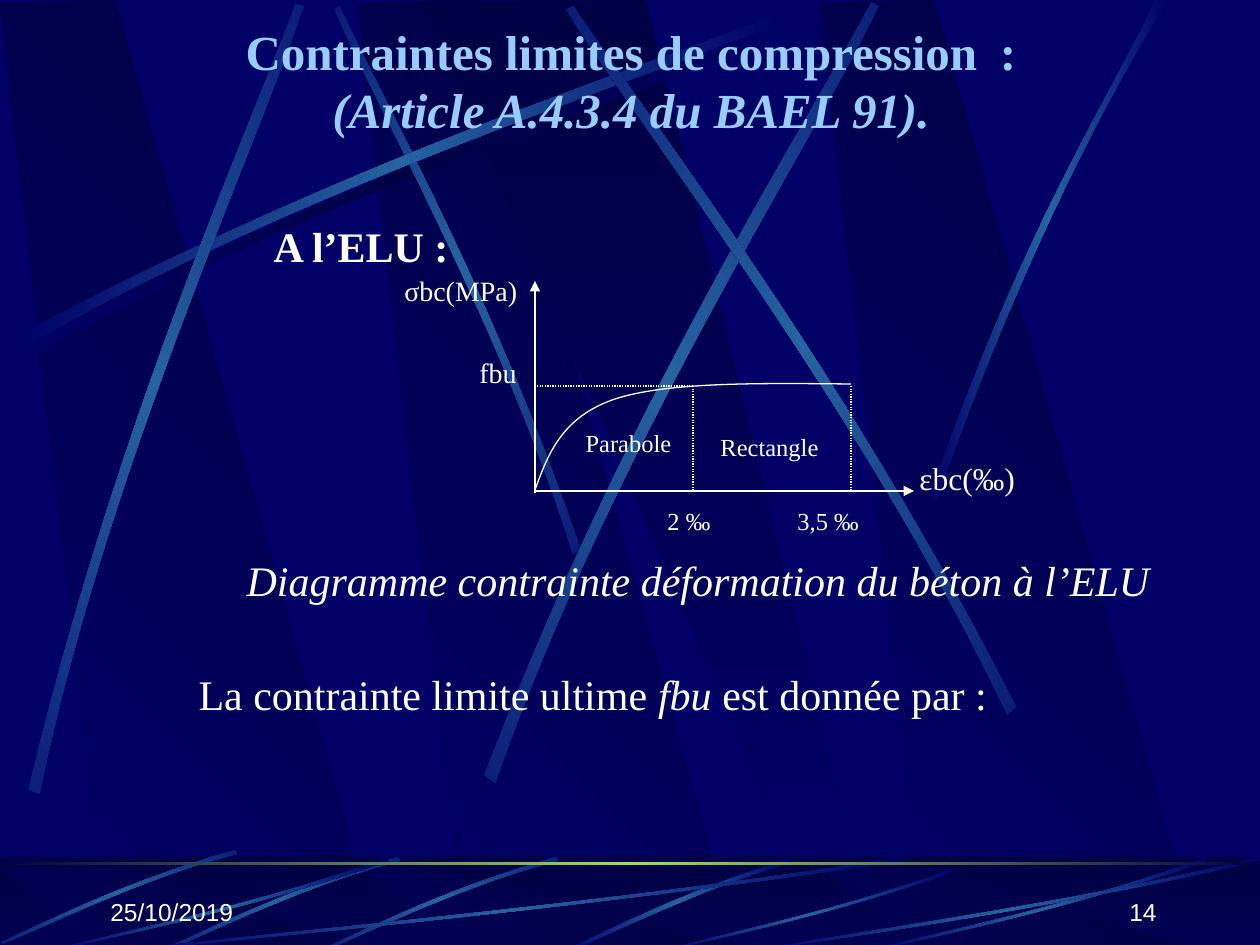
from copy import deepcopy
from math import cos, radians, sin

from pptx import Presentation
from pptx.dml.color import RGBColor
from pptx.enum.dml import MSO_LINE
from pptx.enum.shapes import MSO_CONNECTOR, MSO_SHAPE
from pptx.enum.text import MSO_ANCHOR, PP_ALIGN
from pptx.oxml.ns import qn
from pptx.util import Pt
from lxml import etree

PX = 914400 / 126
NAVY = RGBColor(0x00, 0x00, 0x66)
DARK = RGBColor(0x00, 0x00, 0x44)
STEEL = RGBColor(0x26, 0x63, 0xA0)
LIME = RGBColor(0x9C, 0xE1, 0x57)
SKY = RGBColor(0x99, 0xCC, 0xFF)
WHITE = RGBColor(0xFF, 0xFF, 0xFF)
SERIF, SANS = "Times New Roman", "Arial"
LEFT, CENTER, RIGHT = PP_ALIGN.LEFT, PP_ALIGN.CENTER, PP_ALIGN.RIGHT

# Content: (box, size, alignment, indent, runs of (text, italic))
TEXTS = [
    ((134, 662, 912, 227), 24, LEFT, 52,
     [("La contrainte limite ultime ", False), ("fbu ", True), ("est donnée par\u00a0:", False)]),
    ((907, 453, 173, 107), 18, LEFT, 0, [("εbc(‰)", False)]),
    ((655, 500, 108, 42), 14, LEFT, 0, [("2 ‰", False)]),
    ((785, 500, 149, 42), 14, LEFT, 0, [("3,5 ‰", False)]),
    ((392, 267, 199, 47), 16, LEFT, 0, [("σbc(MPa)", False)]),
    ((467, 349, 108, 47), 16, LEFT, 0, [("fbu", False)]),
    ((544, 422, 169, 42), 14, CENTER, 0, [("Parabole", False)]),
    ((685, 426, 169, 43), 14, CENTER, 0, [("Rectangle", False)]),
    ((213, 548, 1002, 63), 24, LEFT, 21,
     [("Diagramme contrainte déformation du béton à l’ELU", True)]),
]
FOOTERS = [((98, 870, 262, 63), LEFT, "25/10/2019"), ((907, 870, 262, 63), RIGHT, "14")]
TITLE = [[("Contraintes limites de compression", 28, False), (" ", 24, False), (" :", 28, False)],
         [("(Article A.4.3.4 du BAEL 91).", 28, True)]]

# Diagram: (start, end, dotted, arrow)
DIAGRAM_LINES = [
    ((535, 491), (914, 491), False, True),
    ((693, 386), (535, 386), True, False),
    ((693, 386), (693, 491), True, False),
    ((851, 386), (851, 491), True, False),
    ((535, 493), (535, 281), False, True),
]
CURVE = [(535, 490), (548, 454), (562, 417), (615, 399), (667, 382), (759, 383), (851, 384)]

# Backdrop: broad bands, and rays made of an outward and a return Bézier curve
BAND = [(108, 945), (381, 948), (115, 0), (0, 3)]
BAND_LEFTS = [357, 0, 819]
WEDGE = [(420, 1), (829, 946), (874, 946), (646, 0)]
LONG_RAY = [(25, 346), (358, 169), (660, 74), (789, 23),
            (793, 30), (665, 87), (320, 190), (29, 359)]
TALL_RAYS = [
    (311.7, [(29, 788), (117, 421), (248, 132), (296, 3),
             (304, 5), (261, 137), (108, 464), (40, 793)]),
    (321.6, [(485, 774), (627, 403), (804, 129), (872, 1),
             (879, 5), (818, 136), (612, 447), (496, 782)]),
    (34.7, [(1016, 706), (844, 369), (650, 120), (573, 5),
            (566, 9), (639, 127), (863, 410), (1007, 714)]),
    (0, [(930, 496), (1026, 218), (1119, 83), (1155, 0),
         (1168, 0), (1053, 183), (969, 406), (937, 500)]),
]
CROSS_RAY = [(580, 549), (493, 295), (381, 97), (339, 6),
             (334, 9), (372, 100), (501, 325), (572, 553)]
FLOOR_RAY = [(790, 859), (677, 893), (601, 935), (564, 950),
             (571, 951), (617, 930), (719, 882), (791, 863)]
SHORT_RAY = [(557, 857), (447, 888), (362, 932), (323, 949),
             (324, 951), (363, 936), (460, 886), (559, 861)]
SHORT_SHIFTS = [(0, 0), (-158, 0), (-321, -7)]
SWEEP = [(777, 4), (440, 54), (134, 80), (4, 94), (0, 93), (129, 77), (479, 48), (774, 0)]
SWEEP_SIZE = (777, 94)
SWEEP_BOXES = [(126, 857, 777, 94), (53, 857, 336, 94), (664, 868, 291, 83),
               (872, 857, 336, 94), (756, 857, 504, 94)]

prs = Presentation()
prs.slide_width, prs.slide_height = round(1260 * PX), round(945 * PX)
slide = prs.slides.add_slide(prs.slide_layouts[6])
slide.background.fill.solid()
slide.background.fill.fore_color.rgb = NAVY
shapes = slide.shapes


def emu(values):
    return [round(v * PX) for v in values]


def shift(points, dx, dy):
    return [(x + dx, y + dy) for x, y in points]


def gradient(shape, colors, angle):
    """Evenly spaced colour stops; the angle is clockwise."""
    shape.shadow.inherit = False
    shape.line.fill.background()
    shape.fill.gradient()
    shape.fill.gradient_angle = (360 - angle) % 360
    if len(colors) == 3:
        last = shape.fill._fill._gradFill.gsLst[-1]
        last.addprevious(deepcopy(last))
    for i, (stop, color) in enumerate(zip(shape.fill.gradient_stops, colors)):
        stop.color.rgb = color
        stop.position = i / (len(colors) - 1)


def outline(points, close=True, curve_starts=()):
    """Polygon in which the three segments from each curve start form one Bézier."""
    points = [emu(p) for p in points]
    builder = shapes.build_freeform(*points[0], scale=1.0)
    builder.add_line_segments(points[1:], close=close)
    shape = builder.convert_to_shape()
    segments = list(shape._element.iter(qn("a:lnTo")))
    for start in curve_starts:
        controls = segments[start:start + 3]
        bezier = etree.Element(qn("a:cubicBezTo"))
        controls[0].addprevious(bezier)
        for control in controls:
            bezier.append(control[0])
            control.getparent().remove(control)
    return shape


def ray(points, rotation=0, core=STEEL):
    xs, ys = zip(*points)
    cx, cy = (min(xs) + max(xs)) / 2, (min(ys) + max(ys)) / 2
    c, s = cos(radians(rotation)), sin(radians(rotation))
    level = [(cx + (x - cx) * c + (y - cy) * s, cy - (x - cx) * s + (y - cy) * c)
             for x, y in points]
    shape = outline(level, curve_starts=(0, 4))
    shape.rotation = rotation
    gradient(shape, [NAVY, core, NAVY], 0)


def bands(top, height):
    def fit(points, left=0):
        return [(x + left, top + y * height / 948) for x, y in points]
    for left in BAND_LEFTS:
        gradient(outline(fit(BAND, left)), [NAVY, DARK], 315)
    gradient(outline(fit(WEDGE)), [DARK, NAVY], 90)


def rectangle(box):
    return shapes.add_shape(MSO_SHAPE.RECTANGLE, *emu(box))


def text_frame(box, anchor=MSO_ANCHOR.TOP, indent=0):
    frame = shapes.add_textbox(*emu(box)).text_frame
    frame.word_wrap = True
    frame.vertical_anchor = anchor
    frame.margin_left += round(indent * PX)
    return frame


def add_run(paragraph, text, size, color=WHITE, font=SERIF, bold=False, italic=False):
    run = paragraph.add_run()
    run.text = text
    run.font.name, run.font.size = font, Pt(size)
    run.font.bold, run.font.italic = bold, italic
    run.font.color.rgb = color


# Upper backdrop
bands(0, 948)
ray(LONG_RAY, core=DARK)
ray(CROSS_RAY, 45)
ray(shift(LONG_RAY, -8, -10))
for rotation, points in TALL_RAYS:
    ray(points, rotation)

# Floor strip
gradient(rectangle((0, 857, 1260, 94)), [DARK, NAVY], 90)
bands(867, 84)
veil = rectangle((0, 857, 1260, 94))
veil.shadow.inherit = False
veil.line.fill.background()
veil.fill.solid()
veil.fill.fore_color.rgb = DARK
veil_color = veil.fill._xPr.find(qn("a:solidFill"))[0]
etree.SubElement(veil_color, qn("a:alpha")).set("val", "50000")
ray(FLOOR_RAY)
for dx, dy in SHORT_SHIFTS:
    ray(shift(SHORT_RAY, dx, dy), 315)
for left, top, width, height in SWEEP_BOXES:
    ray([(left + x * width / SWEEP_SIZE[0], top + y * height / SWEEP_SIZE[1]) for x, y in SWEEP])
gradient(rectangle((0, 862, 1260, 3)), [DARK, LIME, DARK], 0)

# Footer and title
for box, align, text in FOOTERS:
    footer = text_frame(box, MSO_ANCHOR.BOTTOM).paragraphs[0]
    footer.alignment = align
    add_run(footer, text, 14, font=SANS)
title = text_frame((64, 16, 1134, 128), MSO_ANCHOR.MIDDLE).paragraphs[0]
title.alignment = CENTER
for i, runs in enumerate(TITLE):
    if i:
        title.add_line_break()
    for text, size, italic in runs:
        add_run(title, text, size, SKY, bold=True, italic=italic)

# Stress-strain diagram
for start, end, dotted, arrow in DIAGRAM_LINES:
    segment = shapes.add_connector(MSO_CONNECTOR.STRAIGHT, *emu(start + end))
    segment.line.color.rgb, segment.line.width = WHITE, Pt(0.75)
    if dotted:
        segment.line.dash_style = MSO_LINE.ROUND_DOT
    if arrow:
        etree.SubElement(segment.line._get_or_add_ln(), qn("a:tailEnd")).set("type", "triangle")
    etree.SubElement(segment._element.spPr, qn("a:effectLst"))
curve = outline(CURVE, close=False, curve_starts=(0, 3))
curve.shadow.inherit = False
curve.fill.background()
curve.line.color.rgb, curve.line.width = WHITE, Pt(0.75)

# Heading, labels and sentences
add_run(text_frame((253, 214, 307, 101), indent=8).paragraphs[0], "A l’ELU :", 24, bold=True)
for box, size, align, indent, runs in TEXTS:
    label = text_frame(box, indent=indent).paragraphs[0]
    label.alignment = align
    for text, italic in runs:
        add_run(label, text, size, italic=italic)

prs.save("out.pptx")
